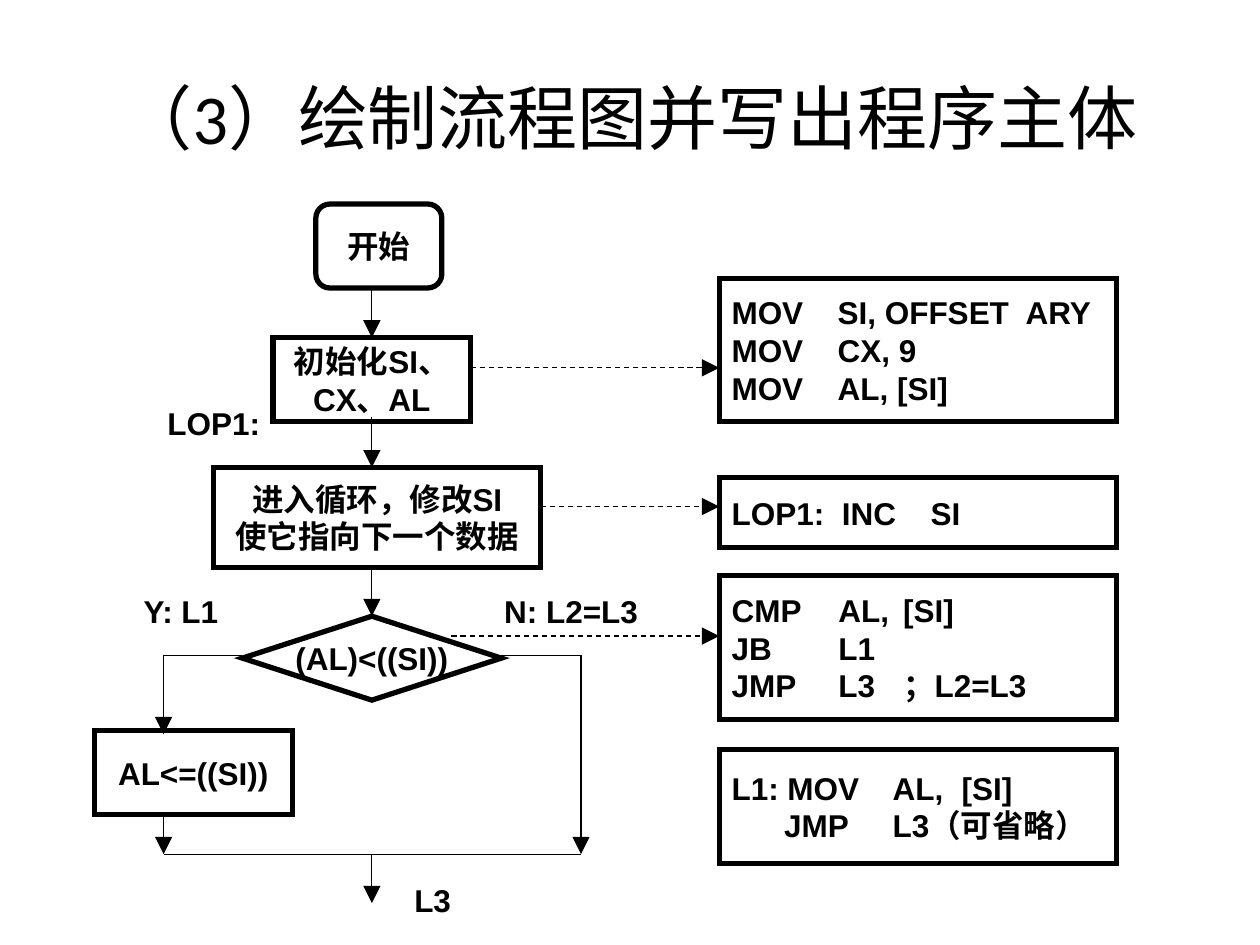
from lxml import etree
from pptx import Presentation
from pptx.dml.color import RGBColor
from pptx.enum import dml, shapes, text
from pptx.oxml import ns
from pptx.util import Pt

BLACK = RGBColor(0, 0, 0)
WHITE = RGBColor(255, 255, 255)
CENTER, LEFT = text.PP_ALIGN.CENTER, text.PP_ALIGN.LEFT
Preset = shapes.MSO_SHAPE


def write_text(frame, content, size=18, font="Arial", bold=True, align=CENTER,
               anchor=text.MSO_ANCHOR.MIDDLE, wrap=False, tab_stops=()):
    """Fill a text frame, one paragraph for each line of content."""
    frame.word_wrap = wrap
    frame.vertical_anchor = anchor
    for index, line in enumerate(content.split("\n")):
        paragraph = frame.paragraphs[0] if index == 0 else frame.add_paragraph()
        paragraph.alignment = align
        run = paragraph.add_run()
        run.text = line
        run.font.name, run.font.size, run.font.bold = font, Pt(size), bold
        run.font.color.rgb = BLACK
        if tab_stops:
            properties = paragraph._p.get_or_add_pPr()
            tab_list = etree.SubElement(properties, ns.qn("a:tabLst"))
            for stop in tab_stops:
                etree.SubElement(tab_list, ns.qn("a:tab"), pos=str(Pt(stop)), algn="l")


def add_box(slide, preset, left, top, width, height, content, **text_format):
    shape = slide.shapes.add_shape(preset, Pt(left), Pt(top), Pt(width), Pt(height))
    shape.shadow.inherit = False
    shape.fill.background()
    shape.line.color.rgb = BLACK
    shape.line.width = Pt(3)
    etree.SubElement(shape.line._get_or_add_ln(), ns.qn("a:miter"), lim="800000")
    write_text(shape.text_frame, content, **text_format)


def add_label(slide, left, top, width, content):
    label = slide.shapes.add_textbox(Pt(left), Pt(top), Pt(width), Pt(29))
    write_text(label.text_frame, content, align=LEFT, anchor=text.MSO_ANCHOR.TOP, wrap=True)


def add_line(slide, x1, y1, x2, y2, arrow=True, dashed=False):
    connector = slide.shapes.add_connector(
        shapes.MSO_CONNECTOR.STRAIGHT, Pt(x1), Pt(y1), Pt(x2), Pt(y2))
    connector.line.color.rgb = BLACK
    connector.line.width = Pt(0.75)
    if dashed:
        connector.line.dash_style = dml.MSO_LINE.DASH
    if arrow:
        etree.SubElement(connector.line._get_or_add_ln(), ns.qn("a:tailEnd"),
                         type="triangle", w="lg", len="lg")
    etree.SubElement(connector._element.spPr, ns.qn("a:effectLst"))


def place_title(slide, left, top, width, height):
    title = slide.shapes.title
    title.left, title.top, title.width, title.height = map(Pt, (left, top, width, height))
    write_text(title.text_frame, "（3）绘制流程图并写出程序主体",
               size=40, font="Calibri", bold=False, wrap=True)


def place_flowchart(slide, left, top):
    axis = left + 158.5
    left_branch, right_branch = left + 39.5, left + 278
    branch_y, join_y = top + 257.8, top + 371.5

    # Steps: preset, centre x, top offset, width, height, wording
    steps = [
        (Preset.FLOWCHART_ALTERNATE_PROCESS, axis + 4, 0, 72, 48, "开始"),
        (Preset.FLOWCHART_PROCESS, axis, 76.3, 113, 48, "初始化SI、\nCX、AL"),
        (Preset.FLOWCHART_PROCESS, axis + 3, 150.5, 187, 57, "进入循环，修改SI\n使它指向下一个数据"),
        (Preset.FLOWCHART_DECISION, axis, 235.5, 148, 48, "(AL)<((SI))"),
        (Preset.FLOWCHART_PROCESS, left + 56.5, 301, 113, 48, "AL<=((SI))"),
    ]
    for preset, center, offset, width, height, content in steps:
        add_box(slide, preset, center - width / 2, top + offset, width, height, content)

    # Arrows down the main axis
    for start, end in [(48, 76.3), (121.7, 150.5), (206.7, 235.5), (371.5, 399.5)]:
        add_line(slide, axis, top + start, axis, top + end)

    # Two branches of the decision, and where they join
    add_line(slide, axis - 74, branch_y, left_branch, branch_y, arrow=False)
    add_line(slide, left_branch, branch_y, left_branch, top + 303)
    add_line(slide, left_branch, top + 349, left_branch, join_y)
    add_line(slide, right_branch, branch_y, axis + 74, branch_y, arrow=False)
    add_line(slide, right_branch, branch_y, right_branch, join_y)
    add_line(slide, left_branch, join_y, right_branch, join_y, arrow=False)

    # Jump labels, each wide enough for one line
    for x, y, width, content in [(21, 218, 64, "Y: L1"), (227, 218, 98, "N: L2=L3"),
                                 (34.6, 111, 74, "LOP1:"), (175.7, 383, 42, "L3")]:
        add_label(slide, left + x, top + y, width, content)


def place_code(slide, left, top, width):
    # Blocks: top offset, height, tab stops, code
    blocks = [
        (0, 82, (60.6, 168), "MOV\tSI, OFFSET\tARY\nMOV\tCX, 9\nMOV\tAL, [SI]"),
        (114, 40, (63, 113.7), "LOP1:\tINC\tSI"),
        (170, 82, (61, 98), "CMP\tAL,\t[SI]\nJB\tL1\nJMP\tL3\t；L2=L3"),
        (269.3, 65, (30, 92, 131.4), "L1: MOV\tAL,\t[SI]\n\tJMP\tL3（可省略）"),
    ]
    for offset, height, tab_stops, code in blocks:
        add_box(slide, Preset.FLOWCHART_PROCESS, left, top + offset, width, height,
                code, align=LEFT, wrap=True, tab_stops=tab_stops)


def place_links(slide, code_left):
    """Dashed arrows from the steps to their code."""
    for x, y in [(269, 210.2), (309, 289.5), (258, 363.5)]:
        add_line(slide, x, y, code_left, y, dashed=True)


def main():
    presentation = Presentation()
    presentation.slide_width, presentation.slide_height = Pt(720), Pt(540)
    slide = presentation.slides.add_slide(presentation.slide_layouts[5])
    slide.background.fill.solid()
    slide.background.fill.fore_color.rgb = WHITE
    code_left = 411
    place_title(slide, 36, 21.6, 648, 90)
    place_flowchart(slide, 54, 116.6)
    place_code(slide, code_left, 159, 227)
    place_links(slide, code_left)
    presentation.save("out.pptx")


if __name__ == "__main__":
    main()
